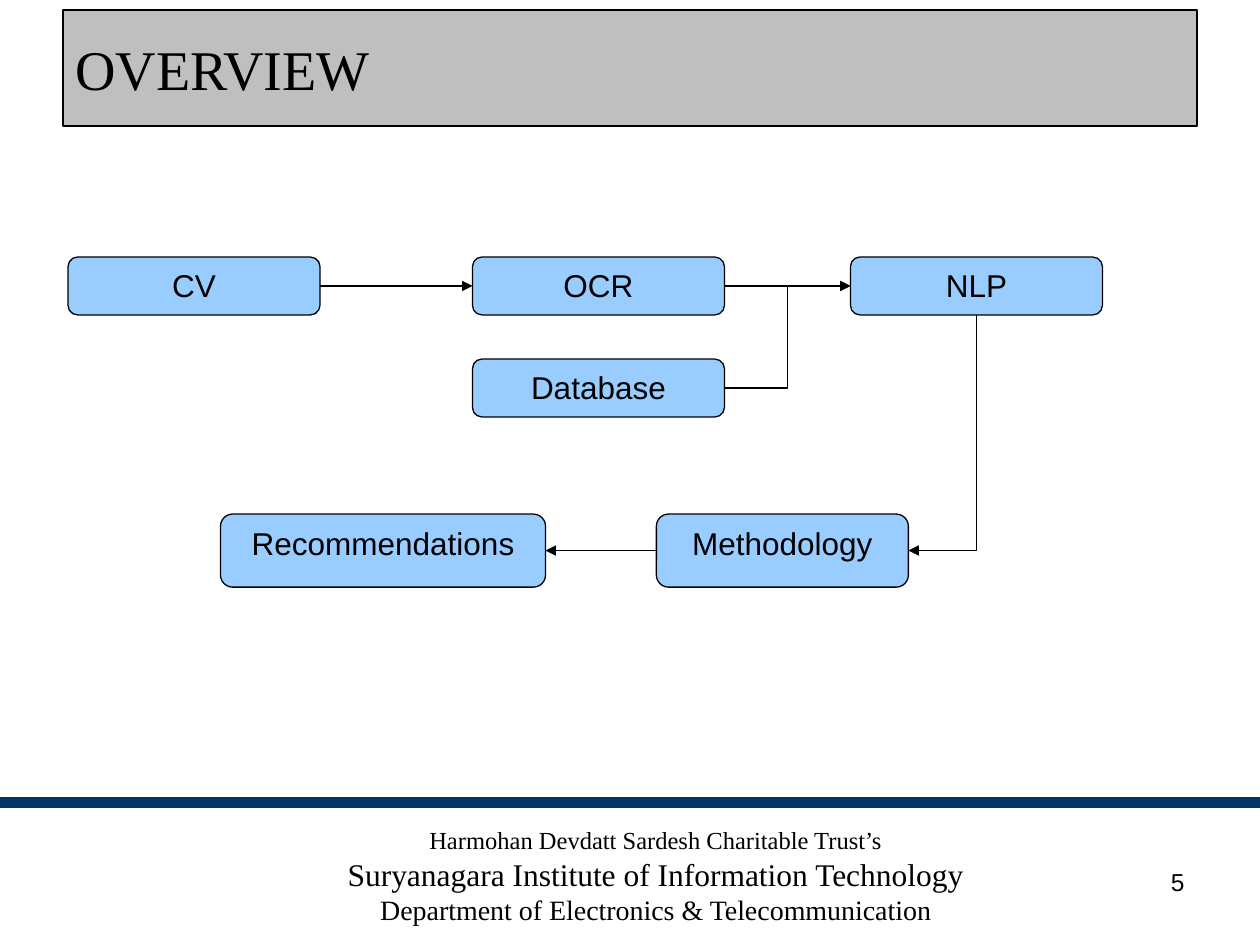
from lxml.etree import SubElement
from pptx import Presentation
from pptx.dml.color import RGBColor
from pptx.enum.shapes import MSO_CONNECTOR, MSO_SHAPE
from pptx.enum.text import MSO_ANCHOR, PP_ALIGN
from pptx.oxml.ns import qn
from pptx.util import Inches, Pt

BLACK = RGBColor(0x00, 0x00, 0x00)
GREY = RGBColor(0xBF, 0xBF, 0xBF)
NAVY = RGBColor(0x00, 0x33, 0x66)
SKY = RGBColor(0x99, 0xCC, 0xFF)
SANS = "Arial"
SERIF = "Times New Roman"
TOP, LEFT, BOTTOM, RIGHT = range(4)


def write(para, text, size=18, font=SANS, color=BLACK, align=PP_ALIGN.CENTER):
    para.alignment = align
    span = para.add_run()
    span.text = text
    span.font.size = Pt(size)
    span.font.name = font
    span.font.color.rgb = color


class Painter:
    line_width = Pt(0.75)

    def __init__(self, page):
        self.page = page

    def shape(self, kind, left, top, width, height, fill, line=BLACK):
        box = self.page.shapes.add_shape(
            kind, Inches(left), Inches(top), Inches(width), Inches(height))
        box.shadow.inherit = False
        box.fill.solid()
        box.fill.fore_color.rgb = fill
        box.line.color.rgb = line
        box.line.width = self.line_width
        return box

    def title(self, text, left, top, width, height):
        box = self.shape(MSO_SHAPE.RECTANGLE, left, top, width, height, GREY)
        box.text_frame.vertical_anchor = MSO_ANCHOR.MIDDLE
        write(box.text_frame.paragraphs[0], text, size=32, font=SERIF,
              align=PP_ALIGN.LEFT)

    def step(self, text, left, top, width=2, height=0.46):
        box = self.shape(MSO_SHAPE.ROUNDED_RECTANGLE, left, top, width, height, SKY)
        box.text_frame.vertical_anchor = MSO_ANCHOR.TOP
        write(box.text_frame.paragraphs[0], text)
        return box

    def text(self, lines, left, top, width, height, **style):
        box = self.page.shapes.add_textbox(
            Inches(left), Inches(top), Inches(width), Inches(height))
        frame = box.text_frame
        frame.word_wrap = True
        for index, (text, size) in enumerate(lines):
            para = frame.add_paragraph() if index else frame.paragraphs[0]
            write(para, text, size=size, **style)

    def arrow(self, start, start_side, finish, finish_side,
              kind=MSO_CONNECTOR.STRAIGHT, arrow_end="a:tailEnd"):
        link = self.page.shapes.add_connector(kind, 0, 0, 0, 0)
        link.begin_connect(start, start_side)
        link.end_connect(finish, finish_side)
        link.line.color.rgb = BLACK
        link.line.width = self.line_width
        SubElement(link.line._get_or_add_ln(), qn(arrow_end), type="triangle")
        SubElement(link._element.spPr, qn("a:effectLst"))
        return link

    def corner_arrow(self, start, start_side, finish, finish_side):
        link = self.arrow(finish, finish_side, start, start_side,
                          MSO_CONNECTOR.ELBOW, "a:headEnd")
        link._element.spPr.find(qn("a:prstGeom")).set("prst", "bentConnector2")


def main():
    deck = Presentation()
    deck.slide_width, deck.slide_height = Inches(10), Inches(7.5)
    painter = Painter(deck.slides.add_slide(deck.slide_layouts[6]))

    painter.text([("5", 14)], 7.17, 6.83, 2.33, 0.52, align=PP_ALIGN.RIGHT)
    painter.text([
        ("Harmohan Devdatt Sardesh Charitable Trust’s", 14),
        ("Suryanagara Institute of Information Technology", 18),
        ("Department of Electronics & Telecommunication", 16),
    ], 1, 6.5, 8.41, 0.91, font=SERIF)
    painter.shape(MSO_SHAPE.RECTANGLE, 0, 6.33, 10, 0.08, NAVY, line=NAVY)
    painter.title("OVERVIEW", 0.5, 0.08, 9, 0.92)

    cv, ocr, nlp = [painter.step(text, left, 2.04)
                    for text, left in (("CV", 0.54), ("OCR", 3.75), ("NLP", 6.75))]
    methodology = painter.step("Methodology", 5.21, 4.08, height=0.58)
    recommendations = painter.step("Recommendations", 1.75, 4.08, 2.58, 0.58)
    database = painter.step("Database", 3.75, 2.85)

    painter.arrow(cv, RIGHT, ocr, LEFT)
    painter.arrow(ocr, RIGHT, nlp, LEFT)
    painter.arrow(methodology, LEFT, recommendations, RIGHT)
    painter.corner_arrow(nlp, BOTTOM, methodology, RIGHT)
    painter.arrow(database, RIGHT, nlp, LEFT, MSO_CONNECTOR.ELBOW)

    deck.save("out.pptx")


if __name__ == "__main__":
    main()
